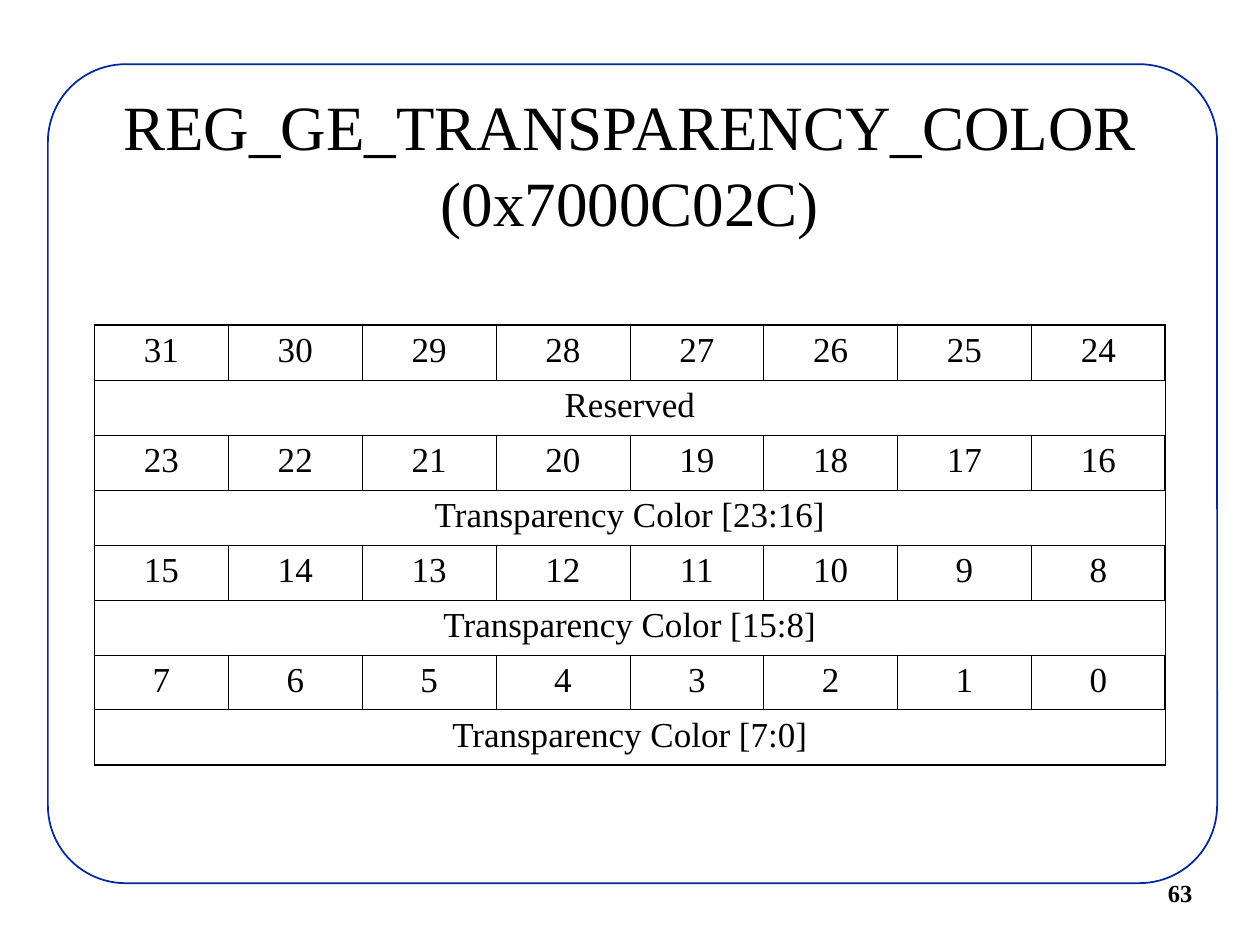
from dataclasses import dataclass

from lxml.etree import SubElement
from pptx import Presentation
from pptx.dml.color import RGBColor
from pptx.enum.shapes import MSO_SHAPE as Shape
from pptx.enum.text import MSO_ANCHOR as Anchor, PP_ALIGN as Align
from pptx.oxml.ns import qn
from pptx.util import Inches, Pt


@dataclass(frozen=True)
class Theme:
    """Colours, font, type sizes and line widths of the slide."""
    font: str = "Times New Roman"
    ink: str = "000000"
    paper: str = "FFFFFF"
    frame: str = "00279F"
    title_size: int = 36
    cell_size: int = 20
    number_size: int = 14
    frame_line: float = 1
    outer_line: float = 1.08
    inner_line: float = 0.45


THEME = Theme()
BITS_PER_ROW = 8
FIELDS = [
    "Reserved",
    "Transparency Color [23:16]",
    "Transparency Color [15:8]",
    "Transparency Color [7:0]",
]


def write_text(text_frame, text, size, bold=False, align=Align.LEFT, anchor=Anchor.TOP, wrap=True):
    """Fill a text frame with one paragraph, breaking lines at newlines."""
    text_frame.word_wrap = wrap
    text_frame.vertical_anchor = anchor
    para = text_frame.paragraphs[0]
    para.alignment = align
    for index, line in enumerate(text.split("\n")):
        if index:
            para.add_line_break()
        span = para.add_run()
        span.text = line
        span.font.name = THEME.font
        span.font.size = Pt(size)
        span.font.bold = bold
        span.font.color.rgb = RGBColor.from_string(THEME.ink)


def add_frame(page, left, top, width, height):
    """Draw the rounded outline around the slide content."""
    frame = page.shapes.add_shape(Shape.ROUNDED_RECTANGLE, left, top, width, height)
    frame.adjustments[0] = 0.095
    frame.shadow.inherit = False
    frame.fill.solid()
    frame.fill.fore_color.rgb = RGBColor.from_string(THEME.paper)
    frame.line.color.rgb = RGBColor.from_string(THEME.frame)
    frame.line.width = Pt(THEME.frame_line)


def add_label(page, left, top, width, height, text, size, **text_format):
    """Place a text box."""
    box = page.shapes.add_textbox(left, top, width, height)
    write_text(box.text_frame, text, size, **text_format)


def set_borders(cell, outer_sides):
    """Rule all four sides of a cell, heavier on the table's outer sides."""
    properties = cell._tc.get_or_add_tcPr()
    for side in "LRTB":
        width = THEME.outer_line if side in outer_sides else THEME.inner_line
        line = SubElement(properties, qn(f"a:ln{side}"), w=str(Pt(width)))
        fill = SubElement(line, qn("a:solidFill"))
        SubElement(fill, qn("a:srgbClr"), val=THEME.ink)


def add_register_table(page, left, top, width, height):
    """Build the bit map: a row of bit numbers above each merged field row."""
    row_count = 2 * len(FIELDS)
    table = page.shapes.add_table(row_count, BITS_PER_ROW, left, top, width, height).table
    table.first_row = table.horz_banding = False
    for row in range(row_count):
        for column in range(BITS_PER_ROW):
            edges = {"L": column == 0, "R": column == BITS_PER_ROW - 1,
                     "T": row == 0, "B": row == row_count - 1}
            cell = table.cell(row, column)
            set_borders(cell, [side for side, outer in edges.items() if outer])
            cell.fill.solid()
            cell.fill.fore_color.rgb = RGBColor.from_string(THEME.paper)
    highest_bit = BITS_PER_ROW * len(FIELDS) - 1
    for group, field in enumerate(FIELDS):
        for column in range(BITS_PER_ROW):
            bit = highest_bit - group * BITS_PER_ROW - column
            write_text(table.cell(2 * group, column).text_frame, str(bit),
                       THEME.cell_size, align=Align.CENTER)
        field_cell = table.cell(2 * group + 1, 0)
        field_cell.merge(table.cell(2 * group + 1, BITS_PER_ROW - 1))
        write_text(field_cell.text_frame, field, THEME.cell_size, align=Align.CENTER)


def main():
    """Build and save the slide."""
    deck = Presentation()
    deck.slide_width, deck.slide_height = Inches(10), Inches(7.5)
    page = deck.slides.add_slide(deck.slide_layouts[6])
    add_frame(page, Inches(0.38), Inches(0.51), Inches(9.28), Inches(6.5))
    add_label(page, Inches(9.17), Inches(6.92), Inches(1.08), Inches(0.33),
              "63", THEME.number_size, bold=True, wrap=False)
    add_label(page, Inches(0.75), Inches(0.67), Inches(8.5), Inches(1.25),
              "REG_GE_TRANSPARENCY_COLOR\n(0x7000C02C)", THEME.title_size,
              align=Align.CENTER, anchor=Anchor.MIDDLE)
    add_register_table(page, Inches(0.75), Inches(2.58), Inches(8.5), Inches(3.49))
    deck.save("out.pptx")


if __name__ == "__main__":
    main()
